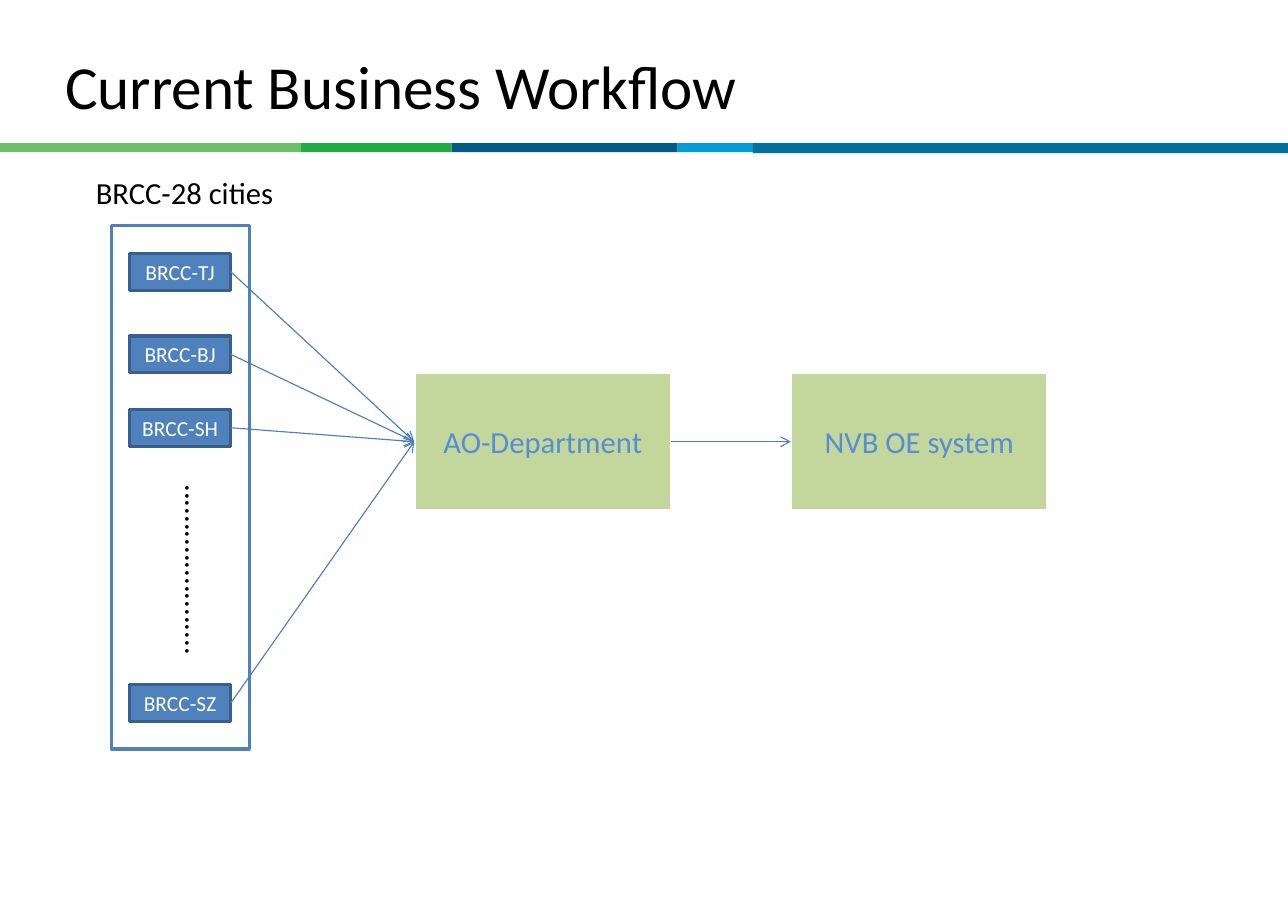
import pptx
import pptx.dml.color
import pptx.enum.shapes
import pptx.enum.text
import pptx.oxml.ns
import pptx.util
from lxml import etree

Pt = pptx.util.Pt
RGBColor = pptx.dml.color.RGBColor
ALIGN = pptx.enum.text.PP_ALIGN
ANCHOR = pptx.enum.text.MSO_ANCHOR
qn = pptx.oxml.ns.qn

BLACK = RGBColor(0x00, 0x00, 0x00)
WHITE = RGBColor(0xFF, 0xFF, 0xFF)
BLUE = RGBColor(0x4F, 0x81, 0xBD)
DARK_BLUE = RGBColor(0x3A, 0x5F, 0x8C)
ARROW_BLUE = RGBColor(0x4B, 0x7E, 0xBC)
LABEL_BLUE = RGBColor(0x55, 0x8E, 0xD5)
PALE_GREEN = RGBColor(0xC3, 0xD6, 0x9B)
LAST_BAND = RGBColor(0x00, 0x70, 0x9E)

SLIDE_WIDTH, SLIDE_HEIGHT = 841.68, 595.44
BAND_TOP, BAND_UNIT = 93.6, 49.2
BANDS = [  # width in band units, colour
    (4, RGBColor(0x6D, 0xC0, 0x67)),
    (2, RGBColor(0x22, 0xAA, 0x47)),
    (3, RGBColor(0x00, 0x5C, 0x86)),
    (1, RGBColor(0x00, 0x9B, 0xD9)),
]
CITIES = [("TJ", 165.6), ("BJ", 219.6), ("SH", 267.6), ("SZ", 447.6)]
LEFT_SITE, RIGHT_SITE = 1, 3


def write(frame, text, size, color, align):
    """Put one run of text into a text frame."""
    paragraph = frame.paragraphs[0]
    paragraph.alignment = align
    run = paragraph.add_run()
    run.text = text
    run.font.name = "Calibri"
    run.font.size = Pt(size)
    run.font.color.rgb = color


def add_label(slide, text, box, size, align=ALIGN.LEFT, anchor=ANCHOR.TOP, wrap=True):
    """Add a black text box and return its text frame."""
    frame = slide.shapes.add_textbox(*map(Pt, box)).text_frame
    frame.word_wrap = wrap
    frame.vertical_anchor = anchor
    write(frame, text, size, BLACK, align)
    return frame


def add_box(slide, box, fill, outline=None):
    """Add a filled rectangle, outlined if a colour is given."""
    rectangle = slide.shapes.add_shape(
        pptx.enum.shapes.MSO_SHAPE.RECTANGLE, *map(Pt, box))
    rectangle.shadow.inherit = False
    rectangle.fill.solid()
    rectangle.fill.fore_color.rgb = fill
    if outline is None:
        rectangle.line.fill.background()
    else:
        rectangle.line.color.rgb = outline
        rectangle.line.width = Pt(2)
    return rectangle


def add_step(slide, text, box, fill, outline, size, color):
    """Add a workflow step: a rectangle with a centred name."""
    step = add_box(slide, box, fill, outline)
    frame = step.text_frame
    frame.word_wrap = True
    frame.margin_left = frame.margin_right = Pt(3)
    frame.vertical_anchor = ANCHOR.MIDDLE
    write(frame, text, size, color, ALIGN.CENTER)
    return step


def add_arrow(slide, source, target):
    """Connect the right side of one step to the left side of another."""
    arrow = slide.shapes.add_connector(
        pptx.enum.shapes.MSO_CONNECTOR.STRAIGHT, 0, 0, 0, 0)
    arrow.begin_connect(source, RIGHT_SITE)
    arrow.end_connect(target, LEFT_SITE)
    arrow.line.color.rgb = ARROW_BLUE
    arrow.line.width = Pt(0.75)
    properties = arrow._element.spPr
    etree.SubElement(properties.find(qn("a:ln")), qn("a:tailEnd"), type="arrow")
    etree.SubElement(properties, qn("a:effectLst"))


def add_bands(slide):
    """Add the coloured strip under the title."""
    left = 0
    for units, color in BANDS:
        width = units * BAND_UNIT
        add_box(slide, (left, BAND_TOP, width, 5.8), color)
        left += width
    add_box(slide, (left, BAND_TOP, SLIDE_WIDTH - left, 6.5), LAST_BAND)


def main():
    """Build the workflow slide and save it."""
    deck = pptx.Presentation()
    deck.slide_width, deck.slide_height = Pt(SLIDE_WIDTH), Pt(SLIDE_HEIGHT)
    slide = deck.slides.add_slide(deck.slide_layouts[6])

    add_label(slide, "Current Business Workflow", (35.5, 26.2, 771, 58.3), 40,
              anchor=ANCHOR.MIDDLE)
    add_bands(slide)

    add_box(slide, (72.7, 147.6, 90.3, 342), WHITE, BLUE)
    add_label(slide, "BRCC-28 cities", (54.7, 110.2, 131.8, 31.7), 20,
              align=ALIGN.CENTER, wrap=False)
    cities = [
        add_step(slide, f"BRCC-{code}", (84.6, top, 66.2, 24), BLUE, DARK_BLUE, 14, WHITE)
        for code, top in CITIES
    ]
    more_cities = add_label(slide, "." * 22, (105.8, 309.6, 38.9, 126), 20)
    more_cities._txBody.bodyPr.set("vert", "eaVert")

    department, system = [
        add_step(slide, name, (left, 243.7, 168, 90), PALE_GREEN, WHITE, 20, LABEL_BLUE)
        for name, left in (("AO-Department", 270.7), ("NVB OE system", 516.8))
    ]
    for city in cities:
        add_arrow(slide, city, department)
    add_arrow(slide, department, system)

    deck.save("out.pptx")


main()
